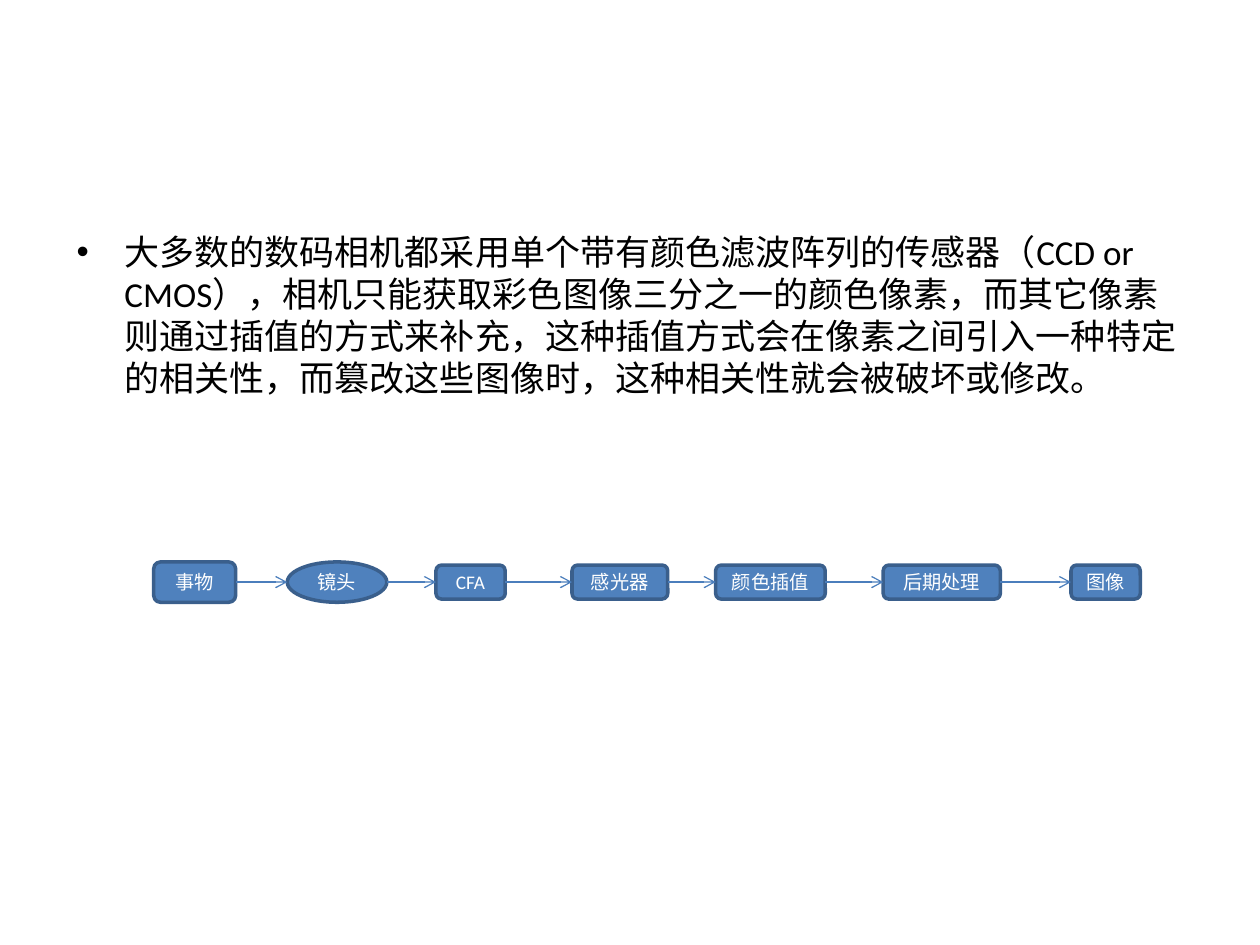
from itertools import pairwise

from lxml.etree import SubElement
from pptx import Presentation
from pptx.dml.color import RGBColor as Color
from pptx.enum.shapes import MSO_CONNECTOR as Connector, MSO_SHAPE as Shape
from pptx.enum.text import MSO_ANCHOR as Anchor, PP_ALIGN as Align
from pptx.oxml.ns import qn
from pptx.util import Inches, Pt

# Content
BODY = (
    "大多数的数码相机都采用单个带有颜色滤波阵列的传感器（CCD or CMOS），"
    "相机只能获取彩色图像三分之一的颜色像素，而其它像素则通过插值的方式来补充，"
    "这种插值方式会在像素之间引入一种特定的相关性，而篡改这些图像时，"
    "这种相关性就会被破坏或修改。"
)
BODY_BOX = (0.51, 1.78, 9, 4.95)
STEPS = [  # label, outline, left, width, height
    ("事物", Shape.ROUNDED_RECTANGLE, 1.22, 0.65, 0.32),
    ("镜头", Shape.OVAL, 2.28, 0.79, 0.32),
    ("CFA", Shape.ROUNDED_RECTANGLE, 3.46, 0.55, 0.27),
    ("感光器", Shape.ROUNDED_RECTANGLE, 4.54, 0.76, 0.27),
    ("颜色插值", Shape.ROUNDED_RECTANGLE, 5.68, 0.87, 0.27),
    ("后期处理", Shape.ROUNDED_RECTANGLE, 7.01, 0.93, 0.27),
    ("图像", Shape.ROUNDED_RECTANGLE, 8.5, 0.55, 0.27),
]
AXIS = 4.62
INDENT = 0.38

THEME = {
    "font": "Calibri",
    "body": {"size": 20, "color": "000000"},
    "label": {"size": 11, "color": "FFFFFF"},
    "fill": "4F81BD",
    "border": {"color": "3A5F8C", "width": 2},
    "arrow": {"color": "4B7EBC", "width": 0.75},
}


def write(para, text, style):
    span = para.add_run()
    span.text = text
    formats = {"name": THEME["font"], "size": Pt(style["size"])}
    for name, value in formats.items():
        setattr(span.font, name, value)
    span.font.color.rgb = Color.from_string(style["color"])


def draw_line(line, style):
    line.color.rgb = Color.from_string(style["color"])
    line.width = Pt(style["width"])


def add_body(page):
    frame = page.shapes.add_textbox(*map(Inches, BODY_BOX)).text_frame
    frame.word_wrap = True
    para = frame.paragraphs[0]
    para.space_before = Pt(THEME["body"]["size"] * 0.2)
    write(para, BODY, THEME["body"])
    # Bullet with hanging indent
    props = para._p.get_or_add_pPr()
    for name, value in {"marL": INDENT, "indent": -INDENT}.items():
        props.set(name, str(Inches(value)))
    SubElement(props, qn("a:buFont")).set("typeface", "Arial")
    SubElement(props, qn("a:buChar")).set("char", "•")


def add_step(page, label, outline, left, width, height):
    box = page.shapes.add_shape(
        outline, *map(Inches, (left, AXIS - height / 2, width, height)))
    box.shadow.inherit = False
    box.fill.solid()
    box.fill.fore_color.rgb = Color.from_string(THEME["fill"])
    draw_line(box.line, THEME["border"])
    formats = {"word_wrap": False, "vertical_anchor": Anchor.MIDDLE}
    for name, value in formats.items():
        setattr(box.text_frame, name, value)
    para = box.text_frame.paragraphs[0]
    para.alignment = Align.CENTER
    write(para, label, THEME["label"])


def add_arrow(page, start, end):
    arrow = page.shapes.add_connector(
        Connector.STRAIGHT, *map(Inches, (start, AXIS, end, AXIS)))
    draw_line(arrow.line, THEME["arrow"])
    SubElement(arrow.line._get_or_add_ln(), qn("a:tailEnd")).set("type", "arrow")
    SubElement(arrow._element.spPr, qn("a:effectLst"))


def main():
    deck = Presentation()
    deck.slide_width, deck.slide_height = Inches(10), Inches(7.5)
    page = deck.slides.add_slide(deck.slide_layouts[6])

    add_body(page)
    # Imaging pipeline: steps, then an arrow across each gap
    for step in STEPS:
        add_step(page, *step)
    for (_, _, left, width, _), (_, _, next_left, _, _) in pairwise(STEPS):
        add_arrow(page, left + width, next_left)

    deck.save("out.pptx")


if __name__ == "__main__":
    main()
